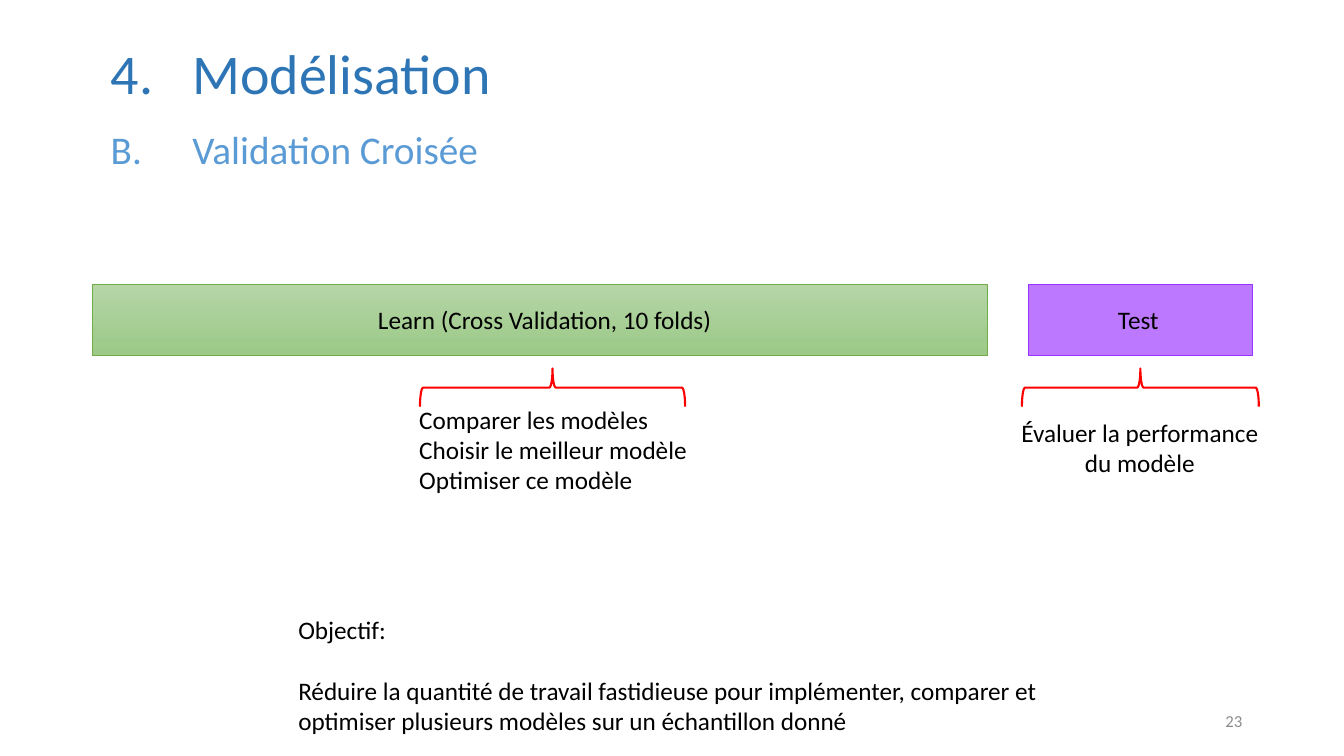
"""Build the cross-validation slide with its data split, braces and goals."""
from dataclasses import dataclass, field

import pptx
import pptx.dml.color
import pptx.enum.shapes
import pptx.enum.text
import pptx.oxml.ns
import pptx.util
from lxml import etree

Inches = pptx.util.Inches
Pt = pptx.util.Pt
RGBColor = pptx.dml.color.RGBColor
MSO_SHAPE = pptx.enum.shapes.MSO_SHAPE
ANCHOR = pptx.enum.text.MSO_ANCHOR
ALIGN = pptx.enum.text.PP_ALIGN

BLACK = RGBColor(0x00, 0x00, 0x00)
GREY = RGBColor(0x8C, 0x8C, 0x8C)
RED = RGBColor(0xFF, 0x00, 0x00)
TITLE_BLUE = RGBColor(0x2E, 0x75, 0xB6)
SUBTITLE_BLUE = RGBColor(0x5B, 0x9B, 0xD5)
TEST_FILL = RGBColor(0xBC, 0x79, 0xFF)
TEST_LINE = RGBColor(0x99, 0x33, 0xFF)
LEARN_TOP = RGBColor(0xB5, 0xD5, 0xA7)
LEARN_BOTTOM = RGBColor(0x9C, 0xC9, 0x87)
LEARN_LINE = RGBColor(0x70, 0xAD, 0x47)

Box = tuple[float, float, float, float]


@dataclass
class Label:
    box: Box
    lines: list[str]
    size: int = 18
    color: RGBColor = BLACK
    anchor: ANCHOR = ANCHOR.TOP
    para: dict = field(default_factory=dict)
    gap: int = 0
    numbering: tuple[str, int] | None = None


@dataclass
class Figure:
    kind: MSO_SHAPE
    box: Box
    line: RGBColor
    width: float
    fills: tuple[RGBColor, ...] = ()
    rotation: int = 0


FIGURES = [
    Figure(MSO_SHAPE.LEFT_BRACE, (5.29, 2.53, 0.38, 2.63), RED, 1.5, rotation=90),
    Figure(MSO_SHAPE.LEFT_BRACE, (11.12, 2.67, 0.38, 2.35), RED, 1.5, rotation=90),
    Figure(MSO_SHAPE.RECTANGLE, (10.2, 2.82, 2.22, 0.71), TEST_LINE, 0.5, (TEST_FILL,)),
    Figure(MSO_SHAPE.RECTANGLE, (0.92, 2.82, 8.87, 0.71), LEARN_LINE, 0.5,
           (LEARN_TOP, LEARN_BOTTOM)),
]

LABELS = [
    Label((0, 0, 13.33, 1.62), ["Modélisation"], 40, TITLE_BLUE,
          para={"line_spacing": 1.5}, numbering=("arabicPeriod", 4)),
    Label((0, 1.19, 13.33, 0.48), ["Validation Croisée"], 28, SUBTITLE_BLUE,
          numbering=("alphaUcPeriod", 2)),
    Label((3.65, 2.97, 3.78, 0.4), ["Learn (Cross Validation, 10 folds)"]),
    Label((10.99, 2.97, 0.64, 0.4), ["Test"]),
    Label((4.06, 3.96, 2.94, 1.01),
          ["Comparer les modèles", "Choisir le meilleur modèle", "Optimiser ce modèle"]),
    Label((9.88, 4.09, 2.85, 0.71), ["Évaluer la performance du modèle"],
          para={"alignment": ALIGN.CENTER}),
    Label((2.86, 6.04, 7.61, 1.31),
          ["Objectif:", "Réduire la quantité de travail fastidieuse pour implémenter, "
           "comparer et optimiser plusieurs modèles sur un échantillon donné"], gap=22),
    Label((9.42, 6.95, 3, 0.4), ["23"], 12, GREY, ANCHOR.MIDDLE,
          {"alignment": ALIGN.RIGHT}),
]


def apply(target: object, values: dict) -> None:
    for name, value in values.items():
        setattr(target, name, value)


def number(p: object, scheme: str, start: int) -> None:
    pPr = p._p.get_or_add_pPr()
    pPr.set("marL", str(Inches(1.81)))
    pPr.set("indent", str(Inches(-0.81)))
    etree.SubElement(pPr, pptx.oxml.ns.qn("a:buAutoNum"), type=scheme, startAt=str(start))


def draw_figure(s: object, figure: Figure) -> None:
    sp = s.shapes.add_shape(figure.kind, *map(Inches, figure.box))
    sp.shadow.inherit = False
    sp.rotation = figure.rotation
    sp.line.color.rgb = figure.line
    sp.line.width = Pt(figure.width)
    if len(figure.fills) > 1:
        sp.fill.gradient()
        sp.fill.gradient_angle = 270
        for stop, color in zip(sp.fill.gradient_stops, figure.fills):
            stop.color.rgb = color
    elif figure.fills:
        sp.fill.solid()
        sp.fill.fore_color.rgb = figure.fills[0]
    else:
        sp.fill.background()


def draw_label(s: object, label: Label) -> None:
    tf = s.shapes.add_textbox(*map(Inches, label.box)).text_frame
    apply(tf, {"word_wrap": True, "vertical_anchor": label.anchor})
    for i, line in enumerate(label.lines):
        p = tf.add_paragraph() if i else tf.paragraphs[0]
        if label.numbering:
            number(p, *label.numbering)
        apply(p, label.para)
        if i and label.gap:
            p.space_before = Pt(label.gap)
        r = p.add_run()
        r.text = line
        apply(r.font, {"name": "Calibri", "size": Pt(label.size)})
        r.font.color.rgb = label.color


def main() -> None:
    prs = pptx.Presentation()
    apply(prs, {"slide_width": Inches(13.33), "slide_height": Inches(7.5)})
    s = prs.slides.add_slide(prs.slide_layouts[6])
    for figure in FIGURES:
        draw_figure(s, figure)
    for label in LABELS:
        draw_label(s, label)
    prs.save("out.pptx")


if __name__ == "__main__":
    main()
